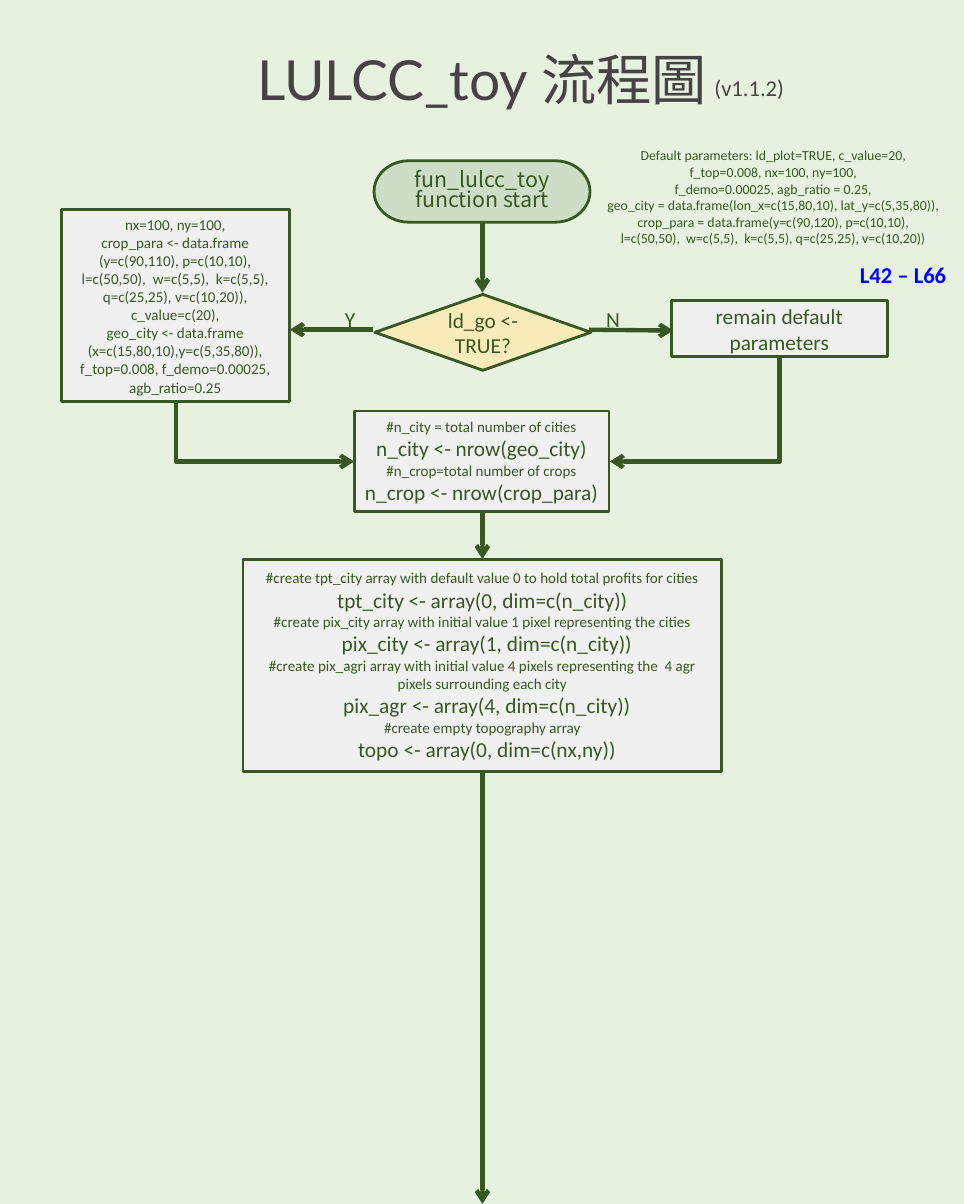
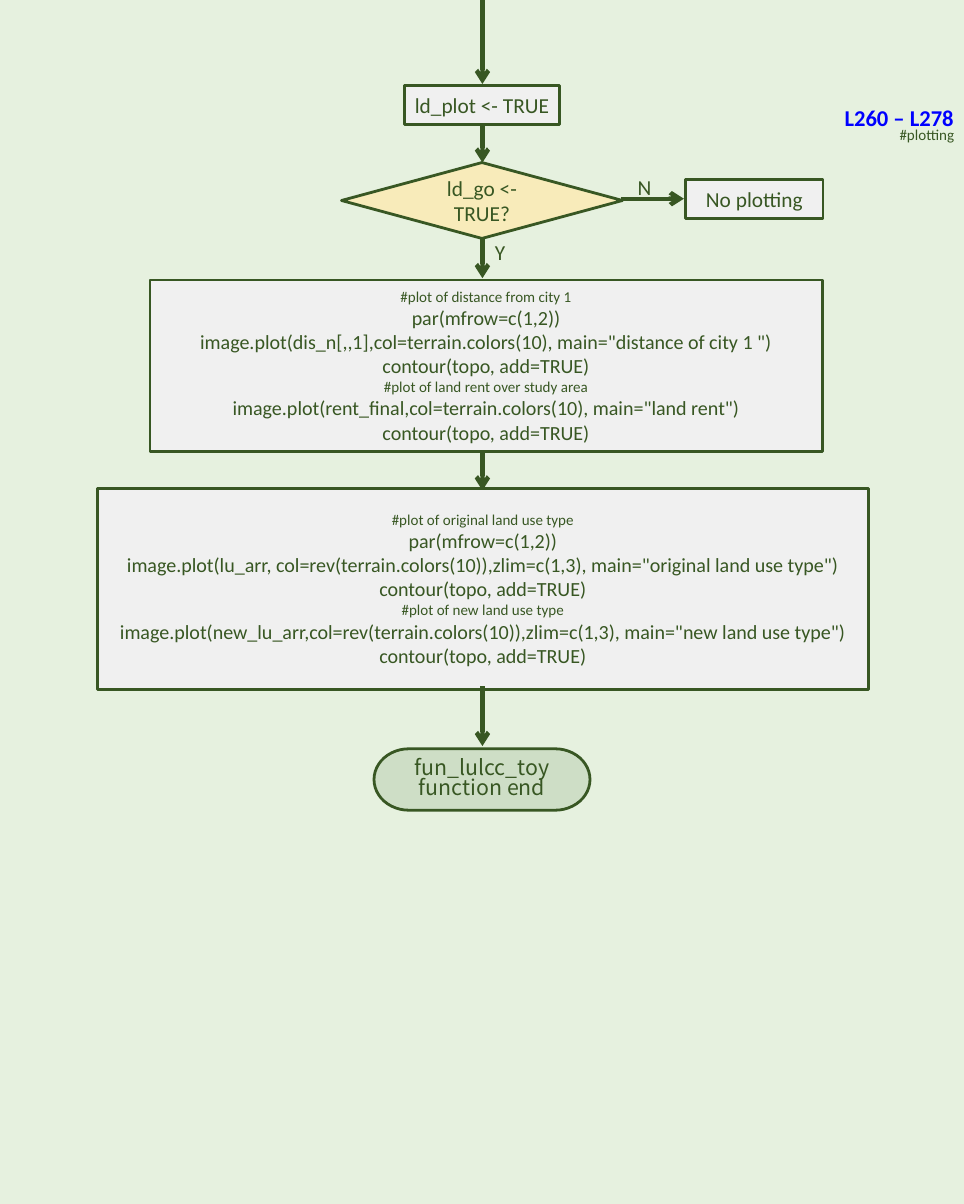
from pptx import Presentation
from pptx.dml.color import RGBColor
from pptx.enum.shapes import MSO_CONNECTOR, MSO_SHAPE
from pptx.enum.text import MSO_ANCHOR, MSO_AUTO_SIZE, PP_ALIGN
from pptx.oxml.ns import qn
from pptx.util import Pt
from lxml import etree

EMU_PER_PX = 9144
PAGE_WIDTH, PAGE_HEIGHT = 1067, 1333
AXIS = 534
TITLE_ONLY, BLANK = 5, 6

PROCESS = MSO_SHAPE.FLOWCHART_PROCESS
DECISION = MSO_SHAPE.FLOWCHART_DECISION
TERMINATOR = MSO_SHAPE.FLOWCHART_TERMINATOR
STRAIGHT, ELBOW = MSO_CONNECTOR.STRAIGHT, MSO_CONNECTOR.ELBOW
LEFT, CENTER, RIGHT = PP_ALIGN.LEFT, PP_ALIGN.CENTER, PP_ALIGN.RIGHT

COLORS = {
    "page": "E6F1DF",
    "ink": "385723",
    "title": "474343",
    "link": "0000FF",
    "process": "F0F0F0",
    "decision": "F8EBBA",
    "terminator": "B3C9A9",
}
FILLS = {PROCESS: "process", DECISION: "decision", TERMINATOR: "terminator"}
CJK_FONT = "Noto Sans CJK SC"
FORMATS = {
    "title": {"size": Pt(44), "name": "Lato"},
    "title_cjk": {"size": Pt(44), "name": CJK_FONT},
    "version": {"size": Pt(18), "name": "Calibri"},
    "lines": {"size": Pt(18), "name": "Calibri", "bold": True},
    "terminator": {"size": Pt(17), "name": CJK_FONT},
    "code": {"size": Pt(17), "name": "Calibri"},
    "plot": {"size": Pt(16), "name": "Calibri"},
    "note": {"size": Pt(12), "name": "Calibri"},
    "defaults": {"size": Pt(11), "name": "Calibri"},
}


def px(value):
    return round(value * EMU_PER_PX)


def rgb(name):
    return RGBColor.from_string(COLORS[name])


def add_span(para, text, style, color="ink"):
    span = para.add_run()
    span.text = text
    for name, value in FORMATS[style].items():
        setattr(span.font, name, value)
    span.font.color.rgb = rgb(color)
    return span


def write_lines(frame, lines, style, color="ink", align=CENTER, inset=()):
    """Write one paragraph a line; # lines are notes, inset numbers are indented."""
    for number, line in enumerate(lines):
        para = frame.paragraphs[0] if number == 0 else frame.add_paragraph()
        para.alignment = align
        if style == "terminator":
            para.line_spacing = 0.8
        if number in inset:
            para._p.get_or_add_pPr().set("marL", str(px(10)))
        add_span(para, line, "note" if line.startswith("#") else style, color)


def add_node(page, kind, at, lines, style="code", inset=()):
    node = page.shapes.add_shape(kind, *map(px, at))
    node.shadow.inherit = False
    node.fill.solid()
    node.fill.fore_color.rgb = rgb(FILLS[kind])
    node.line.color.rgb = rgb("ink")
    node.line.width = Pt(2.25)
    node.text_frame.word_wrap = True
    node.text_frame.vertical_anchor = MSO_ANCHOR.MIDDLE
    write_lines(node.text_frame, lines, style, inset=inset)
    return node


def add_terminator(page, top, text):
    node = add_node(page, TERMINATOR, (414, top, 239, 68), [text], "terminator")
    hue = node.fill._xPr.find(qn("a:solidFill"))[0]
    etree.SubElement(hue, qn("a:alpha")).set("val", "46000")


def add_text(page, at, lines, style="code", color="ink", align=LEFT, wrap=True):
    box = page.shapes.add_textbox(*map(px, at))
    box.text_frame.word_wrap = wrap
    write_lines(box.text_frame, lines, style, color, align)


def finish_arrow(arrow):
    arrow.line.color.rgb = rgb("ink")
    arrow.line.width = Pt(3.5)
    etree.SubElement(arrow.line._get_or_add_ln(), qn("a:tailEnd")).set("type", "arrow")
    etree.SubElement(arrow._element.spPr, qn("a:effectLst"))


def add_arrow(page, *ends):
    finish_arrow(page.shapes.add_connector(STRAIGHT, *map(px, ends)))


def add_down_arrow(page, top, bottom):
    add_arrow(page, AXIS, top, AXIS, bottom)


def add_corner_arrow(page, x1, y1, x2, y2):
    """Arrow that runs down from the first point, then sideways to the second."""
    across, down = abs(x2 - x1), y2 - y1
    left, right = (x1 + x2 - down) / 2, (x1 + x2 + down) / 2
    top, bottom = (y1 + y2 - across) / 2, (y1 + y2 + across) / 2
    turn = 90
    if x2 > x1:
        left, right, turn = right, left, 270
    arrow = page.shapes.add_connector(ELBOW, *map(px, (left, top, right, bottom)))
    properties = arrow._element.spPr
    properties.find(qn("a:xfrm")).set("rot", str(turn * 60000))
    properties.find(qn("a:prstGeom")).set("prst", "bentConnector2")
    finish_arrow(arrow)


def add_title(page):
    title = page.shapes.title
    title.left, title.top, title.width, title.height = map(px, (80, 42, 907, 87))
    frame = title.text_frame
    frame.auto_size = MSO_AUTO_SIZE.NONE
    frame.vertical_anchor = MSO_ANCHOR.BOTTOM
    para = frame.paragraphs[0]
    para.alignment = CENTER
    para.line_spacing = 0.9
    add_span(para, "LULCC_toy ", "title", "title")
    span = add_span(para, "流程圖", "title_cjk", "title")
    etree.SubElement(span._r.get_or_add_rPr(), qn("a:ea")).set("typeface", CJK_FONT)


def build_setup_page(deck):
    page = deck.slides.add_slide(deck.slide_layouts[TITLE_ONLY])
    add_title(page)
    add_text(page, (781, 77, 98, 40), ["(v1.1.2)"], "version", "title", wrap=False)

    add_terminator(page, 178, "fun_lulcc_toy function start")
    add_down_arrow(page, 246, 324)
    add_node(page, DECISION, (415, 326, 239, 84), ["ld_go <- TRUE?"])
    add_arrow(page, 413, 365, 321, 365)
    add_arrow(page, 652, 365, 745, 366)
    add_text(page, (372, 334, 32, 39), ["Y"], wrap=False)
    add_text(page, (661, 334, 36, 39), ["N"], wrap=False)

    add_node(page, PROCESS, (68, 232, 252, 213), [
        "nx=100, ny=100,",
        "crop_para <- data.frame (y=c(90,110), p=c(10,10),",
        "l=c(50,50),  w=c(5,5),  k=c(5,5), q=c(25,25), v=c(10,20)),",
        "c_value=c(20),",
        "geo_city <- data.frame (x=c(15,80,10),y=c(5,35,80)),",
        "f_top=0.008, f_demo=0.00025, agb_ratio=0.25",
    ], "note")
    add_text(page, (652, 158, 408, 121), [
        "Default parameters: ld_plot=TRUE, c_value=20,",
        "f_top=0.008, nx=100, ny=100,",
        "f_demo=0.00025, agb_ratio = 0.25,",
        "geo_city = data.frame(lon_x=c(15,80,10), lat_y=c(5,35,80)),",
        "crop_para = data.frame(y=c(90,120), p=c(10,10),",
        "l=c(50,50),  w=c(5,5),  k=c(5,5), q=c(25,25), v=c(10,20))",
    ], "defaults", align=CENTER)
    add_text(page, (942, 284, 125, 40), ["L42 – L66"], "lines", "link")
    add_node(page, PROCESS, (743, 333, 239, 62), ["remain default parameters"])

    add_node(page, PROCESS, (392, 455, 282, 111), [
        "#n_city = total number of cities",
        "n_city <- nrow(geo_city)",
        "#n_crop=total number of crops",
        "n_crop <- nrow(crop_para)",
    ])
    add_corner_arrow(page, 195, 445, 392, 511)
    add_corner_arrow(page, 863, 395, 675, 511)
    add_down_arrow(page, 565, 619)
    add_node(page, PROCESS, (269, 619, 530, 235), [
        "#create tpt_city array with default value 0 to hold total profits for cities",
        "tpt_city <- array(0, dim=c(n_city))",
        "#create pix_city array with initial value 1 pixel representing the cities",
        "pix_city <- array(1, dim=c(n_city))",
        "#create pix_agri array with initial value 4 pixels representing the  4 agr "
        "pixels surrounding each city",
        "pix_agr <- array(4, dim=c(n_city))",
        "#create empty topography array",
        "topo <- array(0, dim=c(nx,ny))",
    ], inset=(3, 5, 7))
    add_down_arrow(page, 854, PAGE_HEIGHT)


def build_plotting_page(deck):
    page = deck.slides.add_slide(deck.slide_layouts[BLANK])
    add_down_arrow(page, 0, 93)
    add_node(page, PROCESS, (448, 95, 171, 43), ["ld_plot <- TRUE"])
    add_down_arrow(page, 137, 180)
    add_node(page, DECISION, (378, 180, 311, 84), ["ld_go <- TRUE?"])
    add_arrow(page, 687, 220, 757, 220)
    add_text(page, (696, 188, 36, 39), ["N"], wrap=False)
    add_node(page, PROCESS, (759, 199, 152, 43), ["No plotting"])
    add_down_arrow(page, 265, 308)
    add_text(page, (538, 260, 32, 39), ["Y"], wrap=False)

    contour = "contour(topo, add=TRUE)"
    add_node(page, PROCESS, (166, 310, 744, 190), [
        "#plot of distance from city 1",
        "par(mfrow=c(1,2))",
        'image.plot(dis_n[,,1],col=terrain.colors(10), main="distance of city 1 ")',
        contour,
        "#plot of land rent over study area",
        'image.plot(rent_final,col=terrain.colors(10), main="land rent")',
        contour,
    ], "plot")
    add_down_arrow(page, 500, 543)
    add_node(page, PROCESS, (108, 541, 853, 222), [
        "#plot of original land use type",
        "par(mfrow=c(1,2))",
        "image.plot(lu_arr, col=rev(terrain.colors(10)),zlim=c(1,3), "
        'main="original land use type")',
        contour,
        "#plot of new land use type",
        "image.plot(new_lu_arr,col=rev(terrain.colors(10)),zlim=c(1,3), "
        'main="new land use type")',
        contour,
    ], "plot")
    add_terminator(page, 829, "fun_lulcc_toy function end")
    add_down_arrow(page, 760, 826)

    add_text(page, (618, 134, 448, 30), ["#plotting"], align=RIGHT)
    add_text(page, (925, 110, 142, 40), ["L260 – L278"], "lines", "link")


def main():
    deck = Presentation()
    deck.slide_width, deck.slide_height = px(PAGE_WIDTH), px(PAGE_HEIGHT)
    backdrop = deck.slide_master.background.fill
    backdrop.solid()
    backdrop.fore_color.rgb = rgb("page")
    build_setup_page(deck)
    build_plotting_page(deck)
    deck.save("out.pptx")


if __name__ == "__main__":
    main()
